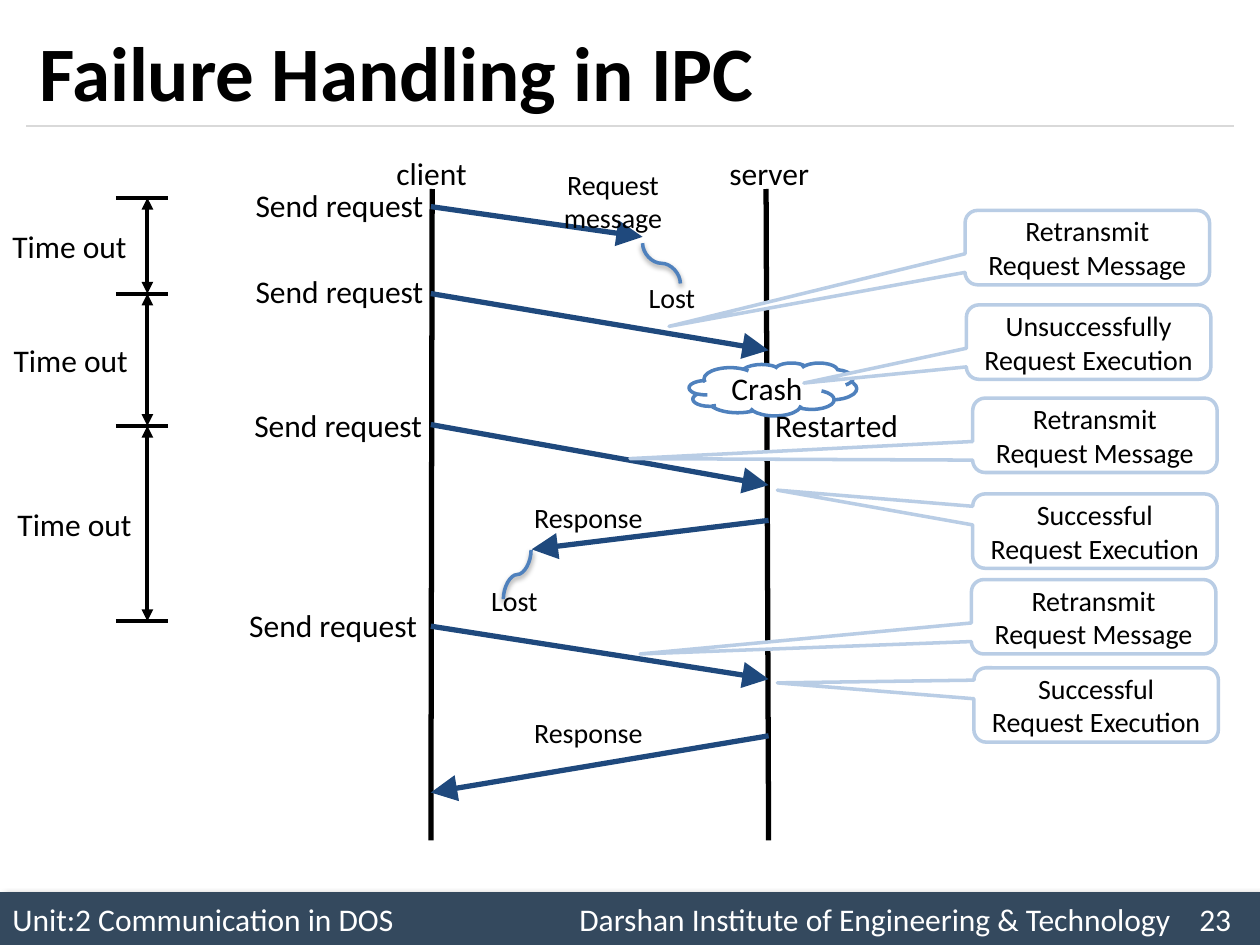
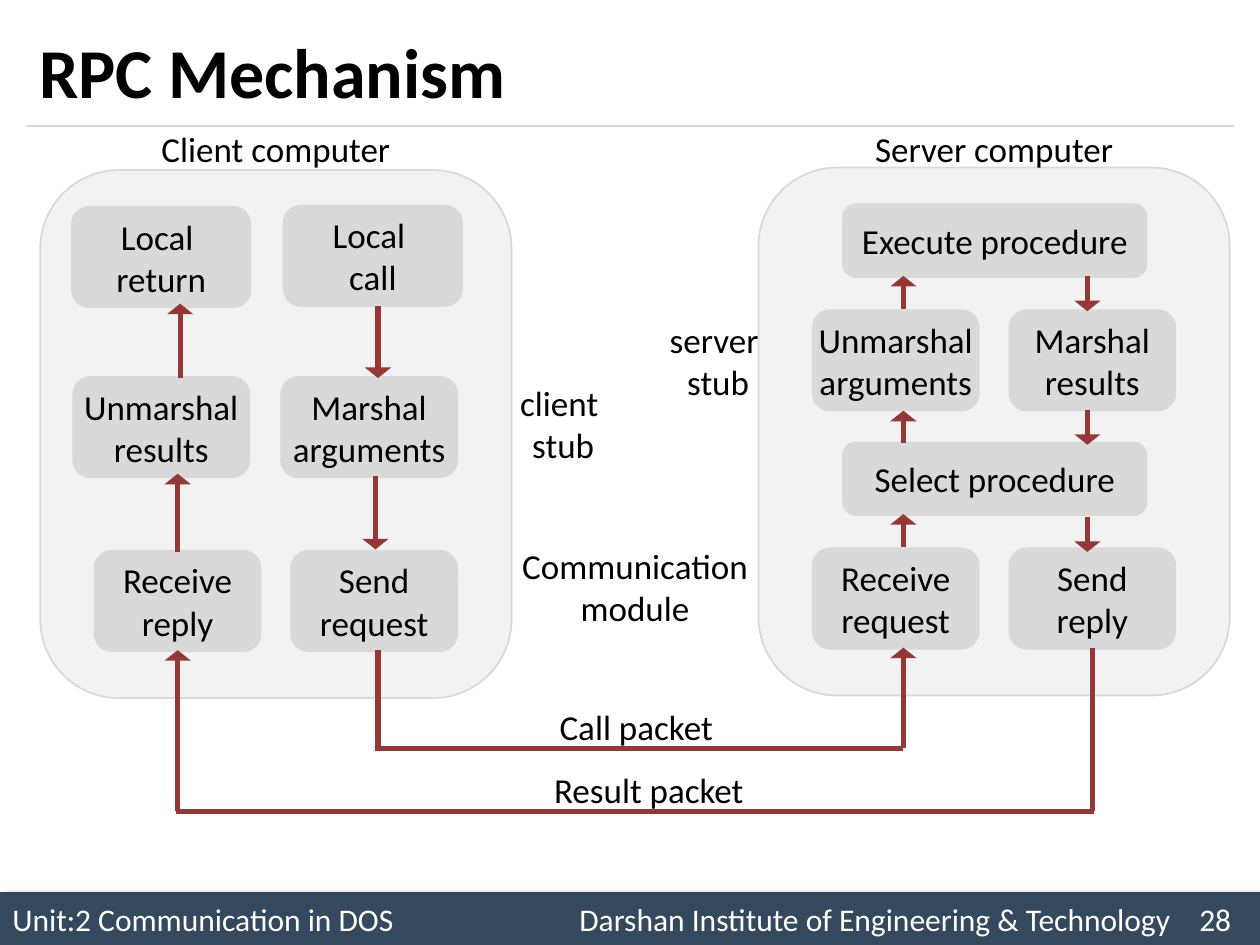
from lxml import etree
from pptx import Presentation
from pptx.dml.color import RGBColor
from pptx.enum.shapes import MSO_CONNECTOR as LINK, MSO_SHAPE as SHAPE
from pptx.enum.text import MSO_ANCHOR as ANCHOR, MSO_AUTO_SIZE as AUTO, PP_ALIGN as ALIGN
from pptx.oxml.ns import qn
from pptx.util import Inches, Pt

FONT = "Calibri"
TOP_SIDE, BOTTOM_SIDE = 0, 2
COLORS = {
    "text": "000000", "white": "FFFFFF", "band": "34495E", "rule": "D9D9D9",
    "message": "1F497D", "accent": "4F81BD", "callout": "B9CDE5",
    "panel": "F2F2F2", "box": "D9D9D9", "flow": "953735",
}


def rgb(name):
    """Return the named colour."""
    return RGBColor.from_string(COLORS[name])


def inches(values):
    """Convert several numbers to lengths."""
    return [Inches(value) for value in values]


def add_tab_stops(paragraph, stops):
    """Set left tab stops on a paragraph."""
    tabs = etree.SubElement(paragraph._p.get_or_add_pPr(), qn("a:tabLst"))
    for stop in stops:
        etree.SubElement(tabs, qn("a:tab"), pos=str(Inches(stop)), algn="l")


def set_text(shape, text, size, color="text", align=ALIGN.CENTER,
             anchor=ANCHOR.MIDDLE, wrap=True, bold=False, stops=()):
    """Fill a shape with formatted text, one paragraph per line."""
    frame = shape.text_frame
    frame.text = text
    frame.word_wrap = wrap
    frame.vertical_anchor = anchor
    if not wrap:
        frame.margin_left = frame.margin_right = 0
    for paragraph in frame.paragraphs:
        paragraph.alignment = align
        if stops:
            add_tab_stops(paragraph, stops)
        font = paragraph.font
        font.name, font.size, font.bold = FONT, Pt(size), bold
        font.color.rgb = rgb(color)


def add_label(slide, text, at, size=18, align=ALIGN.CENTER, anchor=ANCHOR.TOP, wrap=True):
    """Add free-standing text."""
    label = slide.shapes.add_textbox(*inches(at))
    set_text(label, text, size, align=align, anchor=anchor, wrap=wrap)


def add_block(slide, kind, at, fill, line=None, width=1):
    """Add a flat preset shape."""
    block = slide.shapes.add_shape(kind, *inches(at))
    block.shadow.inherit = False
    block.fill.solid()
    block.fill.fore_color.rgb = rgb(fill)
    if line:
        block.line.color.rgb = rgb(line)
        block.line.width = Pt(width)
    else:
        block.line.fill.background()
    return block


def add_line(slide, start, end, color, width, heads=(), size=("med", "med"), kind=LINK.STRAIGHT):
    """Add a connector with arrowheads at the ends named in heads."""
    line = slide.shapes.add_connector(kind, *inches((*start, *end)))
    line.line.color.rgb = rgb(color)
    line.line.width = Pt(width)
    properties = line._element.spPr
    for head in heads:
        etree.SubElement(properties.find(qn("a:ln")), qn(f"a:{head}"),
                         type="triangle", w=size[0], len=size[1])
    etree.SubElement(properties, qn("a:effectLst"))
    return line


def add_shadow(shape, opacity, blur, distance, angle):
    """Give a shape an outer shadow."""
    effects = shape._element.spPr.find(qn("a:effectLst"))
    shadow = etree.SubElement(effects, qn("a:outerShdw"), blurRad=str(Pt(blur)),
                              dist=str(Pt(distance)), dir=str(angle * 60000), rotWithShape="0")
    tone = etree.SubElement(shadow, qn("a:srgbClr"), val=COLORS["text"])
    etree.SubElement(tone, qn("a:alpha"), val=str(opacity * 1000))


def start_slide(deck, title, size, number):
    """Add a slide with the shared title, rule and footer band."""
    slide = deck.slides.add_slide(deck.slide_layouts[5])
    heading = slide.shapes.title
    heading.left, heading.top, heading.width, heading.height = inches((0.21, 0.12, 9.58, 0.88))
    set_text(heading, title, size, align=ALIGN.LEFT, bold=True)
    heading.text_frame.auto_size = AUTO.NONE
    add_line(slide, (0.21, 1), (9.79, 1), "rule", 0.75)

    band = add_block(slide, SHAPE.RECTANGLE, (0, 7.08, 10, 0.42), "band")
    add_shadow(band, 40, 4, 3, 45)
    footer = f"Unit:2 Communication in DOS\tDarshan Institute of Engineering & Technology\t{number}"
    set_text(band, footer, 18, "white", ALIGN.LEFT, stops=(4.5, 9.42))
    return slide


def add_message(slide, start, end):
    """Add a message arrow between the timelines."""
    add_line(slide, start, end, "message", 3, ["tailEnd"], ("lg", "lg"))


def add_lost_trail(slide, start, end, rotation):
    """Add the curve that leads to a lost message."""
    trail = add_line(slide, start, end, "accent", 2, kind=LINK.CURVE)
    trail._element.spPr.find(qn("a:xfrm")).set("rot", str(rotation * 60000))
    add_shadow(trail, 38, 3.1, 1.6, 90)


def add_callout(slide, text, left, top, tip):
    """Add a callout whose pointer ends at tip."""
    width, height = 1.94, 0.59
    callout = add_block(slide, SHAPE.ROUNDED_RECTANGULAR_CALLOUT,
                        (left, top, width, height), "white", "callout", 2)
    callout.adjustments[0] = (tip[0] - left) / width - 0.5
    callout.adjustments[1] = (tip[1] - top) / height - 0.5
    set_text(callout, text, 16)


def add_timeouts(slide):
    """Add the time-out scale at the left."""
    ticks = (1.57, 2.33, 3.38, 4.93)
    for tick in ticks:
        add_line(slide, (0.92, tick), (1.33, tick), "text", 2.25)
    for top, bottom in zip(ticks, ticks[1:]):
        add_line(slide, (1.17, top), (1.17, bottom), "text", 2.25, ["headEnd", "tailEnd"])
    for left, top in ((0, 1.75), (0.01, 2.66), (0.04, 3.96)):
        add_label(slide, "Time out", (left, top, 1.13, 0.4), align=ALIGN.LEFT)


def build_failure_handling(deck):
    """Build the sequence diagram of lost and repeated messages."""
    slide = start_slide(deck, "Failure Handling in IPC", 44, 23)
    add_label(slide, "client", (2.72, 1.17, 1.41, 0.4))
    add_label(slide, "server", (5.4, 1.17, 1.41, 0.4))
    add_line(slide, (6.08, 1.5), (6.1, 6.67), "text", 3)
    add_line(slide, (3.43, 1.5), (3.42, 6.67), "text", 3)

    client, server = 3.42, 6.1
    for start, end in (
        ((client, 1.64), (5.1, 1.88)),
        ((client, 2.33), (server, 2.78)),
        ((client, 3.37), (server, 3.85)),
        ((server, 4.13), (4.22, 4.36)),
        ((client, 4.97), (server, 5.39)),
        ((server, 5.84), (client, 6.29)),
    ):
        add_message(slide, start, end)
    for left, top in ((1.93, 1.43), (1.93, 2.11), (1.92, 3.17), (1.88, 4.76)):
        add_label(slide, "Send request", (left, top, 1.6, 0.4), align=ALIGN.LEFT)
    add_label(slide, "Request message", (4.02, 1.28, 1.69, 0.64), 16)
    for top in (3.92, 5.63):
        add_label(slide, "Response", (3.85, top, 1.64, 0.37), 16)

    add_lost_trail(slide, (5.41, 1.94), (5.09, 2.24), 270)
    add_lost_trail(slide, (3.91, 4.45), (4.3, 4.67), 90)
    for left, top in ((5.05, 2.18), (3.8, 4.58)):
        add_label(slide, "Lost", (left, top, 0.94, 0.37), 16, ALIGN.LEFT)

    crash = add_block(slide, SHAPE.CLOUD, (5.47, 2.88, 1.33, 0.42), "white", "accent", 2)
    set_text(crash, "Crash", 18)
    add_label(slide, "Restarted", (5.73, 3.17, 1.82, 0.4))

    retransmit, success = "Retransmit Request Message", "Successful Request Execution"
    for text, left, top, tip in (
        (retransmit, 7.66, 1.67, (5.31, 2.59)),
        ("Unsuccessfully Request Execution", 7.67, 2.42, (6.38, 3.04)),
        (retransmit, 7.72, 3.16, (5, 3.64)),
        (success, 7.72, 3.92, (6.17, 3.89)),
        (retransmit, 7.71, 4.6, (5.08, 5.19)),
        (success, 7.73, 5.3, (6.17, 5.42)),
    ):
        add_callout(slide, text, left, top, tip)
    add_timeouts(slide)


def add_step(slide, text, left, top, width=1.3, height=0.78):
    """Add one step of the call."""
    step = add_block(slide, SHAPE.ROUNDED_RECTANGLE, (left, top, width, height), "box", "box", 2.25)
    set_text(step, text, 20, wrap=False)
    return step


def add_flow(slide, start, end, arrow=True):
    """Add one leg of the call or of the result."""
    heads = ["tailEnd"] if arrow else []
    return add_line(slide, start, end, "flow", 3, heads, ("lg", "sm"))


def build_rpc_mechanism(deck):
    """Build the diagram of a remote procedure call."""
    slide = start_slide(deck, "RPC Mechanism", 40, 28)
    for left, top in ((0.32, 1.35), (6.02, 1.33)):
        add_block(slide, SHAPE.ROUNDED_RECTANGLE, (left, top, 3.74, 4.19), "panel", "rule")
    for text, at in (
        ("Client computer", (1.09, 0.92, 2.2, 0.51)),
        ("Server computer", (6.77, 0.96, 2.24, 0.43)),
        ("client \nstub", (3.97, 2.88, 1, 0.97)),
        ("server \nstub", (5.2, 2.38, 1, 0.97)),
        ("Communication\nmodule", (4.04, 4.17, 2, 0.97)),
        ("Call packet", (4.1, 5.51, 1.9, 0.51)),
        ("Result packet", (4.2, 6.01, 1.9, 0.51)),
    ):
        add_label(slide, text, at, 20, anchor=ANCHOR.MIDDLE, wrap=False)

    add_step(slide, "Local \nreturn", 0.58, 1.65, 1.4)
    add_step(slide, "Local \ncall", 2.26, 1.64, 1.4)
    add_step(slide, "Unmarshal\nresults", 0.59, 3, 1.38)
    add_step(slide, "Marshal\narguments", 2.24, 3, 1.38)
    receive_reply = add_step(slide, "Receive\nreply", 0.76, 4.38)
    add_step(slide, "Send\nrequest", 2.32, 4.38)

    add_step(slide, "Execute procedure", 6.7, 1.63, 2.39, 0.56)
    add_step(slide, "Unmarshal\narguments", 6.46, 2.47)
    add_step(slide, "Marshal\nresults", 8.02, 2.47)
    add_step(slide, "Select procedure", 6.7, 3.52, 2.39, 0.56)
    add_step(slide, "Receive\nrequest", 6.46, 4.36)
    send_reply = add_step(slide, "Send\nreply", 8.02, 4.36)

    add_flow(slide, (3, 2.43), (3, 3))
    add_flow(slide, (2.98, 3.78), (2.98, 4.36))
    add_flow(slide, (1.41, 4.38), (1.41, 3.76)).begin_connect(receive_reply, TOP_SIDE)
    add_flow(slide, (1.43, 3), (1.43, 2.41))
    for top in (2.19, 3.25, 4.1):
        add_flow(slide, (8.63, top), (8.63, top + 0.28))
    for bottom in (4.34, 3.52, 2.45):
        add_flow(slide, (7.17, bottom), (7.17, bottom - 0.26))

    add_flow(slide, (3, 5.16), (3, 5.94), arrow=False)
    add_flow(slide, (2.98, 5.94), (7.17, 5.94), arrow=False)
    add_flow(slide, (7.17, 5.94), (7.17, 5.14))
    result_leg = add_flow(slide, (8.67, 5.14), (8.67, 6.44), arrow=False)
    result_leg.begin_connect(send_reply, BOTTOM_SIDE)
    add_flow(slide, (1.4, 6.44), (8.68, 6.44), arrow=False)
    add_flow(slide, (1.41, 6.44), (1.41, 5.16)).end_connect(receive_reply, BOTTOM_SIDE)


def main():
    """Build and save the deck."""
    deck = Presentation()
    deck.slide_width, deck.slide_height = inches((10, 7.5))
    build_failure_handling(deck)
    build_rpc_mechanism(deck)
    deck.save("out.pptx")


if __name__ == "__main__":
    main()
